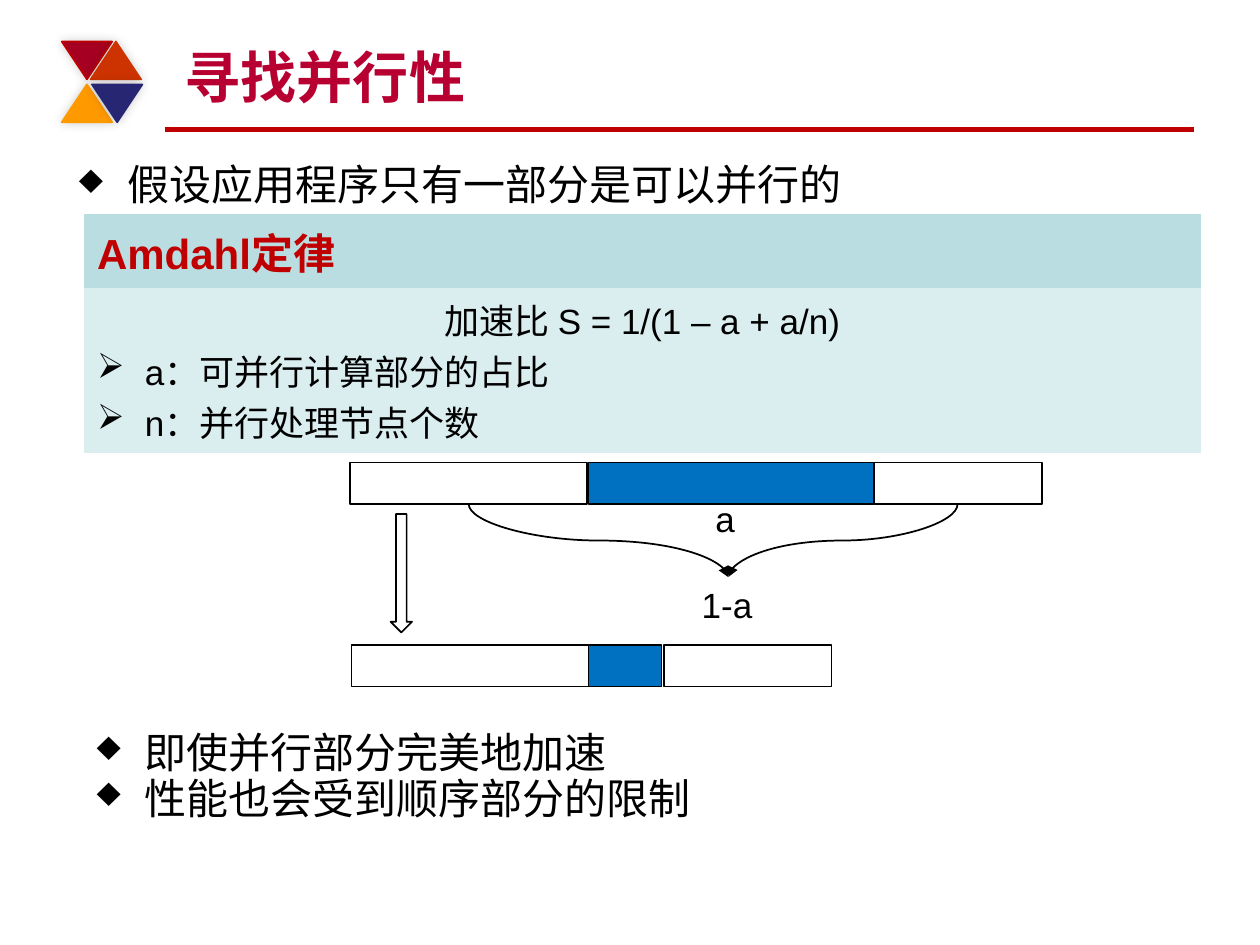
from lxml import etree
from pptx import Presentation
from pptx.dml.color import RGBColor
from pptx.enum.shapes import MSO_CONNECTOR as CONN, MSO_SHAPE as SHAPE
from pptx.enum.text import MSO_ANCHOR as ANCHOR, MSO_AUTO_SIZE as AUTO, PP_ALIGN as ALIGN
from pptx.oxml import parse_xml
from pptx.oxml.ns import nsdecls, qn
from pptx.util import Inches, Pt

BLACK, WHITE, RED, BLUE = "000000", "FFFFFF", "C00000", "0070C0"


def rgb(value):
    return RGBColor.from_string(value)


class SlideBuilder:
    font = "Arial"

    def __init__(self, slide):
        self.s = slide

    def style(self, p, text, size, color=BLACK, bold=False, bullet=None,
              align=ALIGN.LEFT, before=0, spacing=None):
        p.add_run().text = text
        p.alignment = align
        p.space_before = Pt(before)
        if spacing:
            p.line_spacing = spacing
        f = p.font
        f.name, f.size, f.bold = self.font, Pt(size), bold
        f.color.rgb = rgb(color)
        if bullet:
            pPr = p._p.get_or_add_pPr()
            pPr.set("marL", str(Inches(0.38)))
            pPr.set("indent", str(-Inches(0.38)))
            bu = parse_xml(f'<a:buChar {nsdecls("a")} char="{bullet}"/>')
            pPr.find(qn("a:defRPr")).addprevious(bu)

    def text(self, x, y, w, h, lines, size, anchor=ANCHOR.TOP, wrap=True, **look):
        tf = self.s.shapes.add_textbox(Inches(x), Inches(y), Inches(w), Inches(h)).text_frame
        tf.word_wrap = wrap
        tf.auto_size = AUTO.NONE if wrap else AUTO.SHAPE_TO_FIT_TEXT
        tf.vertical_anchor = anchor
        for i, line in enumerate(lines):
            p = tf.add_paragraph() if i else tf.paragraphs[0]
            self.style(p, line, size, **look)

    def shape(self, kind, x, y, w, h, fill=None, line=BLACK, rotation=0):
        sp = self.s.shapes.add_shape(kind, Inches(x), Inches(y), Inches(w), Inches(h))
        sp.shadow.inherit = False
        sp.rotation = rotation
        if fill:
            sp.fill.solid()
            sp.fill.fore_color.rgb = rgb(fill)
        else:
            sp.fill.background()
        sp.line.color.rgb = rgb(line)
        sp.line.width = Pt(1)
        return sp

    def soft_shadow(self, sp):
        effects = sp._element.spPr.find(qn("a:effectLst"))
        effects.append(parse_xml(
            f'<a:outerShdw {nsdecls("a")} blurRad="{Pt(6)}" dist="0" dir="18900000">'
            '<a:srgbClr val="000000"><a:alpha val="20000"/></a:srgbClr></a:outerShdw>'))

    def connector(self, kind, x1, y1, x2, y2, color=BLACK, width=1):
        c = self.s.shapes.add_connector(kind, Inches(x1), Inches(y1), Inches(x2), Inches(y2))
        c.line.color.rgb = rgb(color)
        c.line.width = Pt(width)
        etree.SubElement(c._element.spPr, qn("a:effectLst"))
        return c

    def curve_down(self, x1, y1, x2, y2):
        """Curved arrow that leaves and arrives vertically: a quarter-turned connector."""
        cx, cy = (x1 + x2) / 2, (y1 + y2) / 2
        dx, dy = abs(x2 - x1) / 2, (y2 - y1) / 2
        side = 1 if x2 > x1 else -1
        c = self.connector(CONN.CURVE, cx + side * dy, cy - dx, cx - side * dy, cy + dx)
        c._element.spPr.find(qn("a:xfrm")).set("rot", str((270 if side > 0 else 90) * 60000))
        etree.SubElement(c.line._get_or_add_ln(), qn("a:tailEnd"), type="triangle")

    def table(self, x, y, w, heights, fills):
        tbl = self.s.shapes.add_table(len(heights), 1, Inches(x), Inches(y),
                                      Inches(w), Inches(sum(heights))).table
        for i, (height, fill) in enumerate(zip(heights, fills)):
            tbl.rows[i].height = Inches(height)
            cell = tbl.cell(i, 0)
            cell.fill.solid()
            cell.fill.fore_color.rgb = rgb(fill)
            cell.vertical_anchor = ANCHOR.MIDDLE
            # no borders between the rows
            for side in ("lnL", "lnR", "lnT", "lnB"):
                ln = parse_xml(f'<a:{side} {nsdecls("a")} w="0"><a:noFill/></a:{side}>')
                cell._tc.tcPr.find(qn("a:solidFill")).addprevious(ln)
        return tbl


def main():
    prs = Presentation()
    prs.slide_width, prs.slide_height = Inches(10), Inches(7.5)
    b = SlideBuilder(prs.slides.add_slide(prs.slide_layouts[6]))

    # Header: rule, triangle ornament, title
    b.connector(CONN.STRAIGHT, 1.31, 1.03, 9.48, 1.03, RED, 3)
    for x, y, fill, line, rotation in (
            (0.49, 0.33, "A50021", RED, 180), (0.72, 0.33, "CC3300", "CC3300", 0),
            (0.49, 0.67, "FF9900", "FF9900", 0), (0.73, 0.67, "262673", "262673", 180)):
        b.soft_shadow(b.shape(SHAPE.ISOSCELES_TRIANGLE, x, y, 0.4, 0.3, fill, line, rotation))
    b.text(1.37, 0.25, 8, 0.67, ["寻找并行性"], 32, ANCHOR.BOTTOM, color="B70031", bold=True)

    # Bullets above and below the diagram
    b.text(0.53, 1.21, 8.95, 0.49, ["假设应用程序只有一部分是可以并行的"], 24,
           bullet="♦", before=4.8)
    b.text(0.67, 5.81, 8.37, 0.85, ["即使并行部分完美地加速", "性能也会受到顺序部分的限制"], 24,
           bullet="♦", before=4.8, spacing=0.75)

    # Amdahl's law
    tbl = b.table(0.67, 1.7, 8.86, (0.56, 1.25), ("BADDE1", "DAEDEF"))
    b.style(tbl.cell(0, 0).text_frame.paragraphs[0], "Amdahl定律", 24, RED, True)
    tf = tbl.cell(1, 0).text_frame
    b.style(tf.paragraphs[0], "加速比 S = 1/(1 – a + a/n)", 20, align=ALIGN.CENTER)
    for line in ("a：可并行计算部分的占比", "n：并行处理节点个数"):
        b.style(tf.add_paragraph(), line, 20, bullet="➢")

    # Run time before and after: serial, parallel, serial
    for y, parts in ((3.67, ((2.78, 1.88), (4.67, 2.27), (6.94, 1.33))),
                     (5.12, ((2.79, 1.88), (4.67, 0.58), (5.27, 1.33)))):
        for (x, w), fill in zip(parts, (None, BLUE, None)):
            b.shape(SHAPE.RECTANGLE, x, y, w, 0.33, fill)

    # Labels and arrows
    b.text(5.58, 3.9, 0.36, 0.44, ["a"], 20, wrap=False)
    for x in (3.72, 7.6):
        b.curve_down(x, 4, 5.78, 4.58)
    b.text(5.47, 4.58, 0.61, 0.44, ["1-a"], 20, wrap=False)
    b.shape(SHAPE.DOWN_ARROW, 3.1, 4.08, 0.17, 0.94)

    prs.save("out.pptx")


if __name__ == "__main__":
    main()
